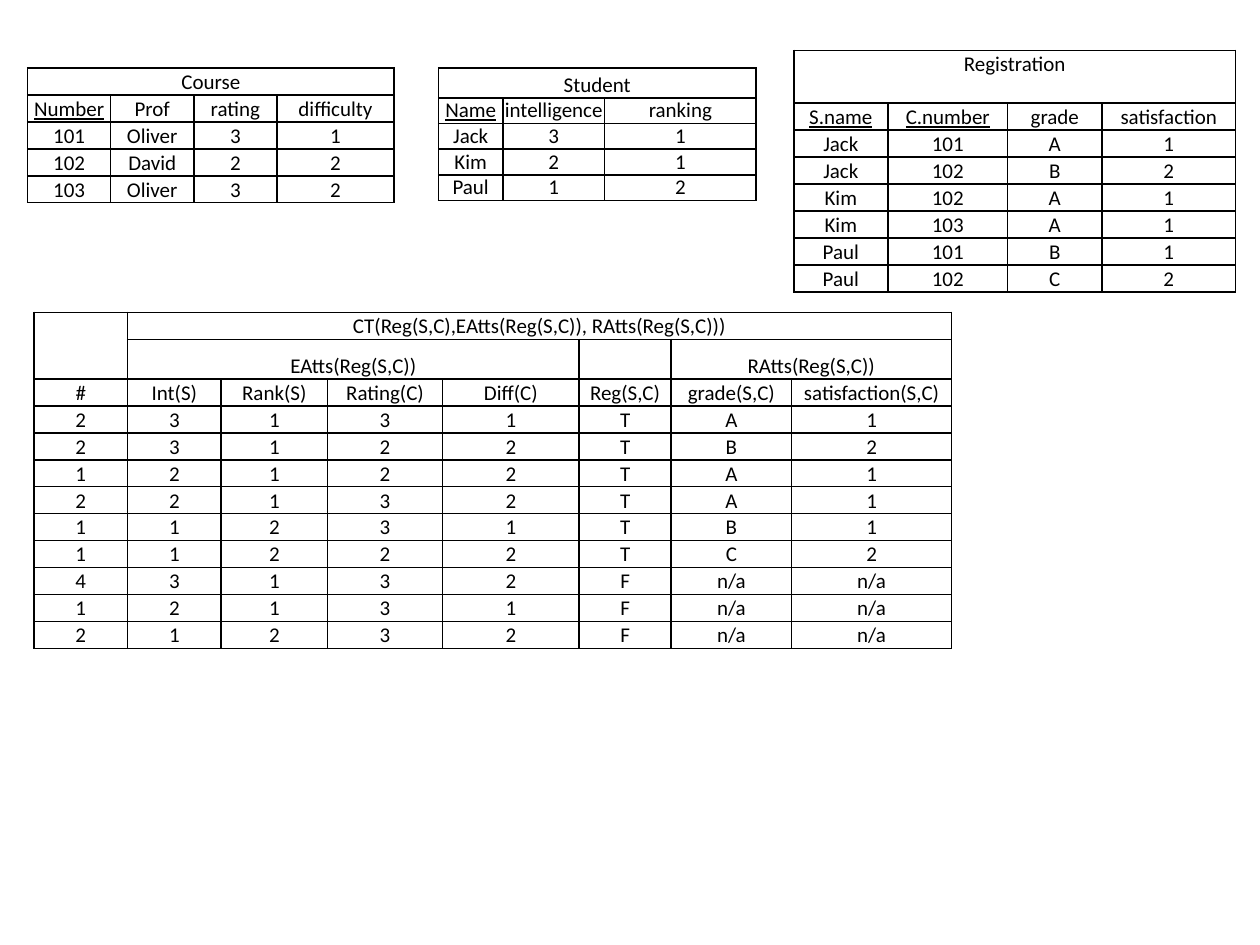
from lxml.etree import SubElement
from pptx import Presentation
from pptx.dml.color import RGBColor
from pptx.enum.text import MSO_ANCHOR as Anchor, PP_ALIGN as Align
from pptx.oxml.ns import qn
from pptx.util import Pt

BLACK = RGBColor(0, 0, 0)
FONT = {"name": "Calibri", "size": Pt(12)}
ROW = 15.4

# Empty strings are blank cells or cells covered by a span.
# Each span is first row, first column, last row, last column.
TABLES = [
    {
        "at": (250.6, 38.9),
        "columns": [36.7, 58.3, 86.4],
        "heights": [17] + [14.7] * 4,
        "top_inset": 0,
        "spans": [(0, 0, 0, 2)],
        "keys": ["Name"],
        "rows": [
            ["Student", "", ""],
            ["Name", "intelligence", "ranking"],
            ["Jack", "3", "1"],
            ["Kim", "2", "1"],
            ["Paul", "1", "2"],
        ],
    },
    {
        "at": (453.6, 28.8),
        "columns": [53.8, 68.5, 53.8, 76.5],
        "heights": [30.2] + [ROW] * 7,
        "title_anchor": Anchor.TOP,
        "spans": [(0, 0, 0, 3)],
        "keys": ["S.name", "C.number"],
        "rows": [
            ["Registration", "", "", ""],
            ["S.name", "C.number", "grade", "satisfaction"],
            ["Jack", "101", "A", "1"],
            ["Jack", "102", "B", "2"],
            ["Kim", "102", "A", "1"],
            ["Kim", "103", "A", "1"],
            ["Paul", "101", "B", "1"],
            ["Paul", "102", "C", "2"],
        ],
    },
    {
        "at": (15.8, 38.9),
        "columns": [47.5, 47.5, 47.5, 67],
        "heights": [ROW] * 5,
        "spans": [(0, 0, 0, 3)],
        "keys": ["Number"],
        "rows": [
            ["Course", "", "", ""],
            ["Number", "Prof", "rating", "difficulty"],
            ["101", "Oliver", "3", "1"],
            ["102", "David", "2", "2"],
            ["103", "Oliver", "3", "2"],
        ],
    },
    {
        "at": (19.4, 178.5),
        "columns": [53.5, 53.5, 60.8, 65.8, 78, 52.6, 68.9, 91.4],
        "heights": [ROW, 22.7] + [ROW] * 10,
        "spans": [(0, 0, 1, 0), (0, 1, 0, 7), (1, 1, 1, 4), (1, 6, 1, 7)],
        "keys": [],
        "rows": [
            ["", "CT(Reg(S,C),EAtts(Reg(S,C)), RAtts(Reg(S,C)))", "", "", "", "", "", ""],
            ["", "EAtts(Reg(S,C))", "", "", "", "", "RAtts(Reg(S,C))", ""],
            ["#", "Int(S)", "Rank(S)", "Rating(C)", "Diff(C)", "Reg(S,C)",
             "grade(S,C)", "satisfaction(S,C)"],
            ["2", "3", "1", "3", "1", "T", "A", "1"],
            ["2", "3", "1", "2", "2", "T", "B", "2"],
            ["1", "2", "1", "2", "2", "T", "A", "1"],
            ["2", "2", "1", "3", "2", "T", "A", "1"],
            ["1", "1", "2", "3", "1", "T", "B", "1"],
            ["1", "1", "2", "2", "2", "T", "C", "2"],
            ["4", "3", "1", "3", "2", "F", "n/a", "n/a"],
            ["1", "2", "1", "3", "1", "F", "n/a", "n/a"],
            ["2", "1", "2", "3", "2", "F", "n/a", "n/a"],
        ],
    },
]


def set_attributes(target, values):
    for name, value in values.items():
        setattr(target, name, value)


def add_borders(cell):
    properties = cell._tc.get_or_add_tcPr()
    for side in ("a:lnL", "a:lnR", "a:lnT", "a:lnB"):
        line = SubElement(properties, qn(side), w=str(Pt(1)))
        fill = SubElement(line, qn("a:solidFill"))
        SubElement(fill, qn("a:srgbClr"), val=str(BLACK))


def write_cell(cell, text, underline, cell_format):
    add_borders(cell)
    cell.fill.background()
    set_attributes(cell, cell_format)
    if text:
        paragraph = cell.text_frame.paragraphs[0]
        paragraph.alignment = Align.CENTER
        run = paragraph.add_run()
        run.text = text
        set_attributes(run.font, FONT)
        run.font.color.rgb = BLACK
        run.font.underline = underline


def add_relation(slide, relation):
    """Draw one database relation as a bordered table with underlined keys."""
    rows, columns, heights = relation["rows"], relation["columns"], relation["heights"]
    left, top = relation["at"]
    table = slide.shapes.add_table(
        len(rows), len(columns), Pt(left), Pt(top), Pt(sum(columns)), Pt(sum(heights))
    ).table
    set_attributes(table, {"first_row": False, "horz_banding": False})
    for column, width in zip(table.columns, columns):
        column.width = Pt(width)
    for row, height in zip(table.rows, heights):
        row.height = Pt(height)

    for row_index, row in enumerate(rows):
        anchor = Anchor.BOTTOM if row_index else relation.get("title_anchor", Anchor.BOTTOM)
        cell_format = {
            "margin_left": Pt(0.7),
            "margin_right": Pt(0.7),
            "margin_top": Pt(relation.get("top_inset", 0.7)),
            "margin_bottom": Pt(0),
            "vertical_anchor": anchor,
        }
        for column_index, text in enumerate(row):
            cell = table.cell(row_index, column_index)
            write_cell(cell, text, text in relation["keys"], cell_format)
    for first_row, first_column, last_row, last_column in relation["spans"]:
        table.cell(first_row, first_column).merge(table.cell(last_row, last_column))


def main():
    presentation = Presentation()
    set_attributes(presentation, {"slide_width": Pt(720), "slide_height": Pt(540)})
    slide = presentation.slides.add_slide(presentation.slide_layouts[6])
    for relation in TABLES:
        add_relation(slide, relation)
    presentation.save("out.pptx")


if __name__ == "__main__":
    main()
